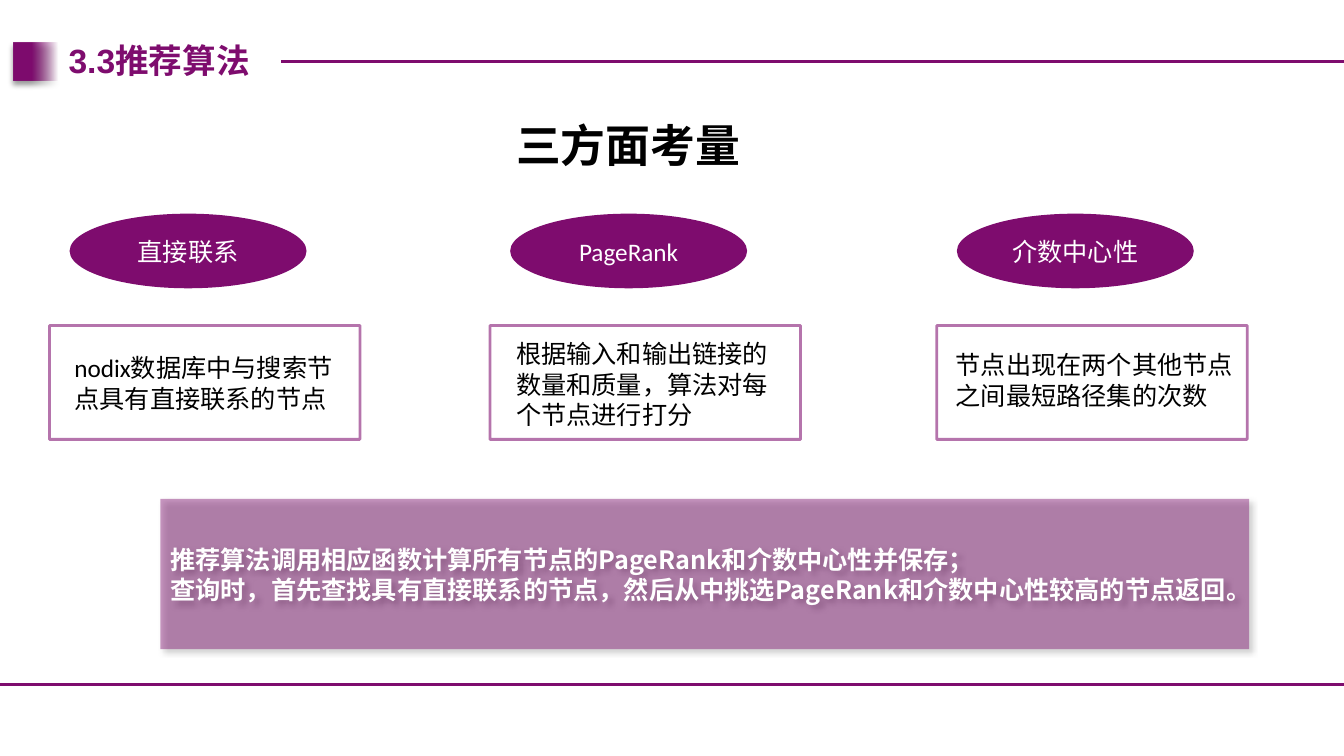
from dataclasses import dataclass

from lxml.etree import SubElement
from pptx import Presentation
from pptx.dml.color import RGBColor
from pptx.enum.shapes import MSO_CONNECTOR, MSO_SHAPE
from pptx.enum.text import MSO_ANCHOR, MSO_AUTO_SIZE, PP_ALIGN
from pptx.oxml.ns import qn
from pptx.shapes.autoshape import Shape
from pptx.slide import Slide
from pptx.text.text import TextFrame
from pptx.util import Inches, Pt

PURPLE = "7E0C6E"
WHITE = "FFFFFF"
BLACK = "000000"
CJK_FONT = "Noto Sans CJK SC"
SLIDE_WIDTH = 13.33


@dataclass(frozen=True)
class Box:
    left: float
    top: float
    width: float
    height: float

    def lengths(self) -> tuple:
        return tuple(Inches(n) for n in (self.left, self.top, self.width, self.height))


@dataclass(frozen=True)
class TextStyle:
    size: int
    color: str
    font: str = "Calibri"
    bold: bool = False
    align: PP_ALIGN = PP_ALIGN.LEFT


@dataclass(frozen=True)
class Factor:
    left: float
    name: str
    detail: str
    detail_box: Box


FACTORS = [
    Factor(0.49, "直接联系", "nodix数据库中与搜索节点具有直接联系的节点",
           Box(0.64, 3.45, 2.93, 0.85)),
    Factor(4.86, "PageRank", "根据输入和输出链接的数量和质量，算法对每个节点进行打分",
           Box(5.02, 3.31, 2.93, 0.85)),
    Factor(9.29, "介数中心性", "节点出现在两个其他节点之间最短路径集的次数",
           Box(9.38, 3.42, 2.99, 0.85)),
]
SUMMARY = [
    "推荐算法调用相应函数计算所有节点的PageRank和介数中心性并保存；",
    "查询时，首先查找具有直接联系的节点，然后从中挑选PageRank和介数中心性较高的节点返回。",
]


def rgb(color: str) -> RGBColor:
    return RGBColor.from_string(color)


def set_alpha(color_element, percent: int) -> None:
    SubElement(color_element, qn("a:alpha")).set("val", str(percent * 1000))


def add_shadow(shape: Shape, angle: int) -> None:
    effects = shape._element.spPr.find(qn("a:effectLst"))
    shadow = SubElement(effects, qn("a:outerShdw"))
    settings = {"blurRad": Pt(4), "dist": Pt(3), "dir": angle * 60000}
    for name, value in settings.items():
        shadow.set(name, str(value))
    shadow.set("rotWithShape", "0")
    color = SubElement(shadow, qn("a:srgbClr"))
    color.set("val", BLACK)
    set_alpha(color, 40)


def write_text(frame: TextFrame, lines: list[str], style: TextStyle,
               anchor: MSO_ANCHOR = MSO_ANCHOR.TOP, wrap: bool = True) -> None:
    frame.word_wrap = wrap
    frame.vertical_anchor = anchor
    for index, line in enumerate(lines):
        paragraph = frame.add_paragraph() if index else frame.paragraphs[0]
        paragraph.alignment = style.align
        run = paragraph.add_run()
        run.text = line
        run.font.size = Pt(style.size)
        run.font.bold = style.bold
        run.font.color.rgb = rgb(style.color)
        run.font.name = style.font
        SubElement(run.font._element, qn("a:ea")).set("typeface", CJK_FONT)


def add_plain_shape(slide: Slide, kind: MSO_SHAPE, box: Box) -> Shape:
    shape = slide.shapes.add_shape(kind, *box.lengths())
    shape.shadow.inherit = False
    shape.fill.background()
    shape.line.fill.background()
    return shape


def fill_solid(shape: Shape, color: str) -> None:
    shape.fill.solid()
    shape.fill.fore_color.rgb = rgb(color)


def add_rule(slide: Slide, left: float, top: float) -> None:
    rule = slide.shapes.add_connector(
        MSO_CONNECTOR.STRAIGHT, Inches(left), Inches(top), Inches(SLIDE_WIDTH), Inches(top))
    rule.line.color.rgb = rgb(PURPLE)
    rule.line.width = Pt(2.25)
    SubElement(rule._element.spPr, qn("a:effectLst"))


def add_title_marker(slide: Slide) -> None:
    marker = add_plain_shape(slide, MSO_SHAPE.RECTANGLE, Box(0.13, 0.42, 0.44, 0.38))
    marker.fill.gradient()
    marker.fill.gradient_angle = 0
    for stop, position in zip(marker.fill.gradient_stops, (0.41, 1)):
        stop.position = position
        stop.color.rgb = rgb(PURPLE)
    colors = list(marker._element.spPr.iter(qn("a:srgbClr")))
    set_alpha(colors[-1], 1)
    add_shadow(marker, 90)


def add_text(slide: Slide, box: Box, text: str, style: TextStyle, wrap: bool = True) -> None:
    text_box = slide.shapes.add_textbox(*box.lengths())
    write_text(text_box.text_frame, [text], style, wrap=wrap)


def add_factor(slide: Slide, factor: Factor) -> None:
    frame = add_plain_shape(slide, MSO_SHAPE.RECTANGLE, Box(factor.left, 3.23, 3.08, 1.13))
    frame.line.color.rgb = rgb(PURPLE)
    frame.line.width = Pt(2)
    set_alpha(next(frame._element.spPr.iter(qn("a:srgbClr"))), 56)

    ellipse = add_plain_shape(slide, MSO_SHAPE.OVAL, Box(factor.left + 0.2, 2.12, 2.35, 0.74))
    fill_solid(ellipse, PURPLE)
    write_text(ellipse.text_frame, [factor.name],
               TextStyle(18, WHITE, align=PP_ALIGN.CENTER), MSO_ANCHOR.MIDDLE)
    add_text(slide, factor.detail_box, factor.detail, TextStyle(18, BLACK))


def add_summary(slide: Slide) -> None:
    banner = add_plain_shape(slide, MSO_SHAPE.RECTANGLE, Box(1.59, 4.95, 10.8, 1.49))
    fill_solid(banner, PURPLE)
    set_alpha(next(banner._element.spPr.iter(qn("a:srgbClr"))), 43)
    add_shadow(banner, 45)
    write_text(banner.text_frame, SUMMARY,
               TextStyle(18, WHITE, CJK_FONT, True), MSO_ANCHOR.MIDDLE, wrap=False)


def set_title(slide: Slide) -> None:
    title = slide.shapes.title
    title.left, title.top, title.width, title.height = Box(0.58, 0.35, 2.11, 0.5).lengths()
    write_text(title.text_frame, ["3.3推荐算法"],
               TextStyle(24, PURPLE, "Arial", True), wrap=False)
    title.text_frame.auto_size = MSO_AUTO_SIZE.NONE


def main() -> None:
    presentation = Presentation()
    presentation.slide_width = Inches(SLIDE_WIDTH)
    presentation.slide_height = Inches(7.5)
    slide = presentation.slides.add_slide(presentation.slide_layouts[5])

    add_rule(slide, 0, 6.79)
    add_title_marker(slide)
    add_rule(slide, 2.79, 0.61)
    add_summary(slide)
    set_title(slide)
    for factor in FACTORS:
        add_factor(slide, factor)
    add_text(slide, Box(5.02, 1.12, 2.59, 0.64), "三方面考量",
             TextStyle(32, BLACK, bold=True), wrap=False)
    presentation.save("out.pptx")


if __name__ == "__main__":
    main()
